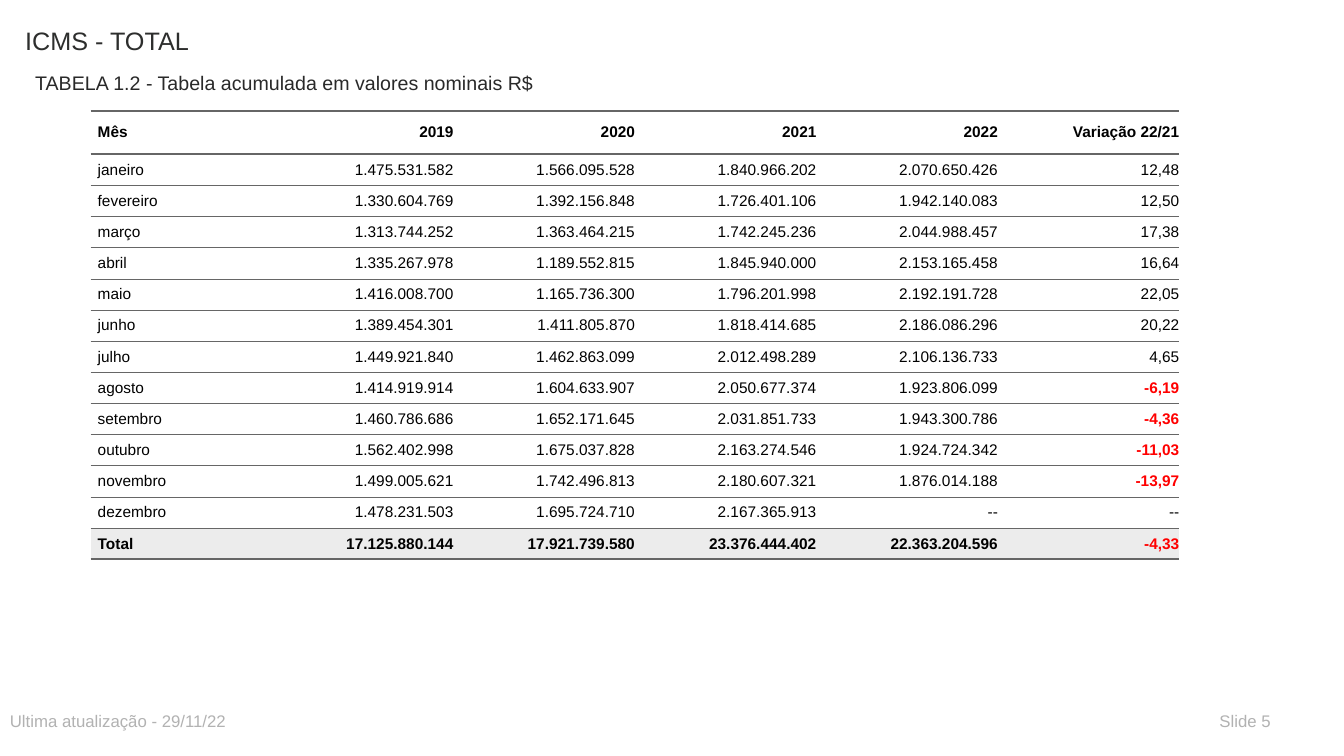
from lxml.etree import SubElement
from pptx import Presentation
from pptx.dml.color import RGBColor
from pptx.enum.text import MSO_ANCHOR, MSO_AUTO_SIZE, PP_ALIGN
from pptx.oxml.ns import qn
from pptx.util import Pt

RULE_COLOR = "666666"
THICK, THIN = 2, 0.5
COLUMN_WIDTH = 129.6
HEADER_HEIGHT, ROW_HEIGHT = 31, 22.25


def write_text(text_frame, text, size, color, bold=False, align=PP_ALIGN.LEFT):
    paragraph = text_frame.paragraphs[0]
    paragraph.text = text
    paragraph.alignment = align
    font = paragraph.runs[0].font
    for name, value in {"name": "Arial", "size": Pt(size), "bold": bold}.items():
        setattr(font, name, value)
    font.color.rgb = RGBColor.from_string(color)


def add_border(cell, side, width):
    """Draw one cell edge (L, R, T or B); a width of 0 hides it."""
    line = SubElement(cell._tc.get_or_add_tcPr(), qn(f"a:ln{side}"), w=str(Pt(width)))
    if width:
        fill = SubElement(line, qn("a:solidFill"))
        SubElement(fill, qn("a:srgbClr"), val=RULE_COLOR)
    else:
        SubElement(line, qn("a:noFill"))


presentation = Presentation()
presentation.slide_width = Pt(960)
presentation.slide_height = Pt(540)
slide = presentation.slides.add_slide(presentation.slide_layouts[5])

# Title, subtitle and footer
captions = [
    ("ICMS - TOTAL", (10.8, 14.4, 576, 42.5), 18, "2D2E2D"),
    ("TABELA 1.2 - Tabela acumulada em valores nominais R$", (18, 46.8, 468, 21.6), 14, "292929"),
    ("Ultima atualização - 29/11/22", (0, 504, 468, 21.6), 12, "B2B2B2"),
    ("Slide 5", (864, 504, 64.8, 21.6), 12, "B2B2B2"),
]
for index, (text, box, size, color) in enumerate(captions):
    left, top, width, height = map(Pt, box)
    if index == 0:
        shape = slide.shapes.title
        shape.left, shape.top, shape.width, shape.height = left, top, width, height
    else:
        shape = slide.shapes.add_textbox(left, top, width, height)
    frame_format = {
        "word_wrap": True,
        "auto_size": MSO_AUTO_SIZE.NONE,
        "vertical_anchor": MSO_ANCHOR.TOP,
    }
    for name, value in frame_format.items():
        setattr(shape.text_frame, name, value)
    write_text(shape.text_frame, text, size, color)

# Monthly revenue table
revenue = [
    ("Mês", "2019", "2020", "2021", "2022", "Variação 22/21"),
    ("janeiro", "1.475.531.582", "1.566.095.528", "1.840.966.202", "2.070.650.426", "12,48"),
    ("fevereiro", "1.330.604.769", "1.392.156.848", "1.726.401.106", "1.942.140.083", "12,50"),
    ("março", "1.313.744.252", "1.363.464.215", "1.742.245.236", "2.044.988.457", "17,38"),
    ("abril", "1.335.267.978", "1.189.552.815", "1.845.940.000", "2.153.165.458", "16,64"),
    ("maio", "1.416.008.700", "1.165.736.300", "1.796.201.998", "2.192.191.728", "22,05"),
    ("junho", "1.389.454.301", "1.411.805.870", "1.818.414.685", "2.186.086.296", "20,22"),
    ("julho", "1.449.921.840", "1.462.863.099", "2.012.498.289", "2.106.136.733", "4,65"),
    ("agosto", "1.414.919.914", "1.604.633.907", "2.050.677.374", "1.923.806.099", "-6,19"),
    ("setembro", "1.460.786.686", "1.652.171.645", "2.031.851.733", "1.943.300.786", "-4,36"),
    ("outubro", "1.562.402.998", "1.675.037.828", "2.163.274.546", "1.924.724.342", "-11,03"),
    ("novembro", "1.499.005.621", "1.742.496.813", "2.180.607.321", "1.876.014.188", "-13,97"),
    ("dezembro", "1.478.231.503", "1.695.724.710", "2.167.365.913", "--", "--"),
    ("Total", "17.125.880.144", "17.921.739.580", "23.376.444.402", "22.363.204.596", "-4,33"),
]
total_row = len(revenue) - 1
column_count = len(revenue[0])
table = slide.shapes.add_table(
    len(revenue), column_count, Pt(64.8), Pt(79.2),
    Pt(column_count * COLUMN_WIDTH), Pt(HEADER_HEIGHT + total_row * ROW_HEIGHT),
).table
table.first_row = False
table.horz_banding = False
for column in table.columns:
    column.width = Pt(COLUMN_WIDTH)

for row_index, values in enumerate(revenue):
    is_header, is_total = row_index == 0, row_index == total_row
    table.rows[row_index].height = Pt(HEADER_HEIGHT if is_header else ROW_HEIGHT)
    top_width = THICK if row_index <= 1 else THIN
    bottom_width = THICK if is_header or is_total else THIN
    for column_index, value in enumerate(values):
        cell = table.cell(row_index, column_index)
        cell_format = {
            "margin_left": Pt(5),
            "margin_right": Pt(0),
            "margin_top": Pt(5),
            "margin_bottom": Pt(5),
            "vertical_anchor": MSO_ANCHOR.MIDDLE,
        }
        for name, setting in cell_format.items():
            setattr(cell, name, setting)
        for side, width in {"L": 0, "R": 0, "T": top_width, "B": bottom_width}.items():
            add_border(cell, side, width)
        cell.fill.solid()
        cell.fill.fore_color.rgb = RGBColor.from_string("ECECEC" if is_total else "FFFFFF")
        is_negative = value.startswith("-") and value != "--"
        write_text(
            cell.text_frame, value, 11,
            "FF0000" if is_negative else "000000",
            bold=is_header or is_total or is_negative,
            align=PP_ALIGN.RIGHT if column_index else PP_ALIGN.LEFT,
        )

presentation.save("out.pptx")
